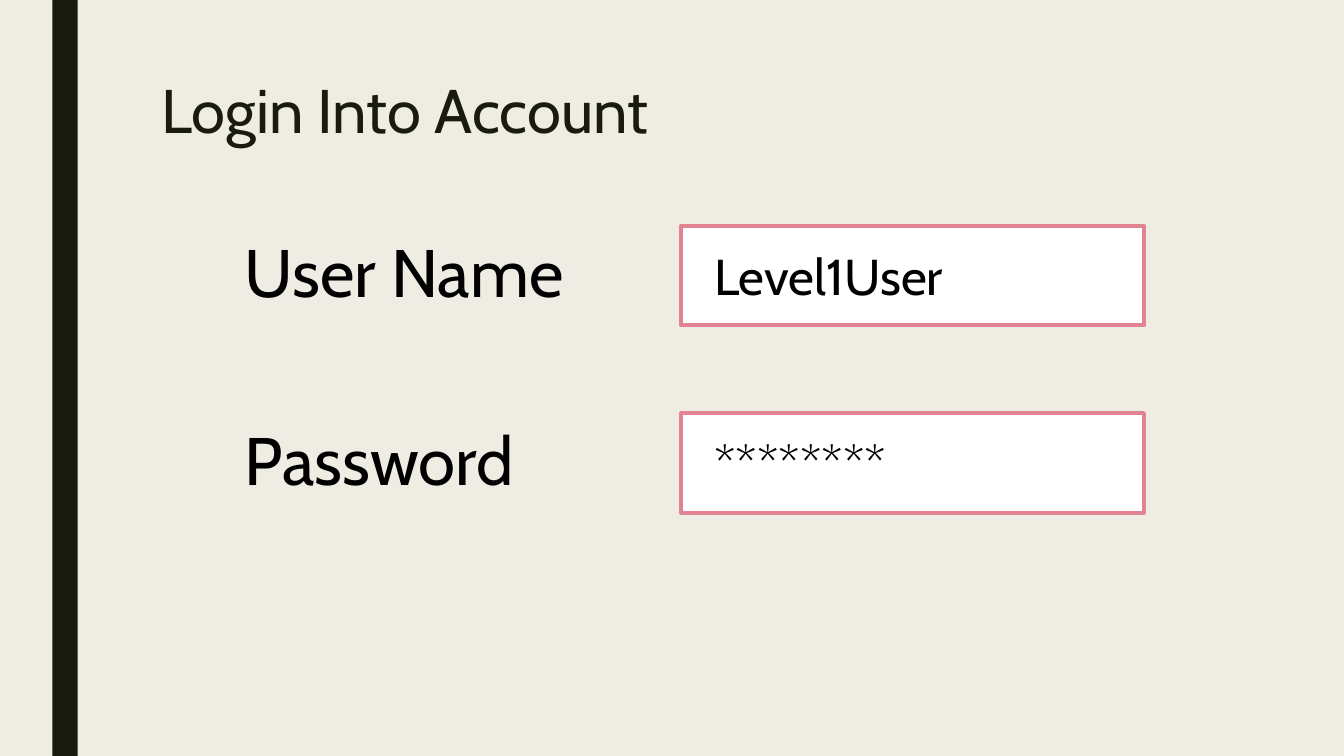
from pptx import Presentation
from pptx.dml.color import RGBColor
from pptx.enum.shapes import MSO_SHAPE
from pptx.enum.text import MSO_ANCHOR, MSO_AUTO_SIZE, PP_ALIGN
from pptx.util import Cm, Pt

RECTANGLE = MSO_SHAPE.RECTANGLE
TOP = MSO_ANCHOR.TOP
LEFT = PP_ALIGN.LEFT
GROW = MSO_AUTO_SIZE.SHAPE_TO_FIT_TEXT
FIXED = MSO_AUTO_SIZE.NONE

FONT = "Cabin"
CREAM, DARK, WHITE, PINK, BLACK = "EFEDE3", "191B0E", "FFFFFF", "E28394", "000000"
FIELDS = [("User Name", "Level1User"), ("Password", "********")]
FIRST_ROW, ROW_PITCH = 5.69, 4.72


def color(value):
    return RGBColor.from_string(value)


def write(frame, text, size, ink=BLACK, spacing=None, fit=GROW):
    frame.word_wrap = True
    frame.auto_size = fit
    frame.vertical_anchor = TOP
    paragraph = frame.paragraphs[0]
    paragraph.alignment = LEFT
    paragraph.line_spacing = spacing
    run = paragraph.add_run()
    run.text = text
    run.font.name = FONT
    run.font.size = Pt(size)
    run.font.color.rgb = color(ink)


def add_rectangle(shapes, left, top, width, height, fill, outline=None):
    rectangle = shapes.add_shape(RECTANGLE, Cm(left), Cm(top), Cm(width), Cm(height))
    rectangle.shadow.inherit = False
    rectangle.fill.solid()
    rectangle.fill.fore_color.rgb = color(fill)
    if outline:
        rectangle.line.color.rgb = color(outline)
        rectangle.line.width = Pt(2.75)
    else:
        rectangle.line.fill.background()


def add_text(shapes, left, top, width, height, text, **formatting):
    box = shapes.add_textbox(Cm(left), Cm(top), Cm(width), Cm(height))
    write(box.text_frame, text, **formatting)


def add_title(slide, text):
    title = slide.shapes.title
    title.left, title.top, title.width, title.height = Cm(3.81), Cm(1.9), Cm(26.67), Cm(4.11)
    write(title.text_frame, text, size=44, ink=DARK, spacing=0.89, fit=FIXED)


def add_field(slide, top, label, entry):
    field = slide.shapes.add_group_shape()
    add_rectangle(field.shapes, 17.17, top, 11.66, 2.51, WHITE, PINK)
    add_text(field.shapes, 5.92, top, 9.04, 2.31, label, size=48)
    add_text(slide.shapes, 17.75, top + 0.35, 10.41, 1.8, entry, size=36)


def main():
    deck = Presentation()
    deck.slide_width, deck.slide_height = Cm(33.87), Cm(19.05)
    slide = deck.slides.add_slide(deck.slide_layouts[5])
    slide.background.fill.solid()
    slide.background.fill.fore_color.rgb = color(CREAM)
    add_rectangle(slide.shapes, 1.32, 0, 0.64, 19.05, DARK)
    add_title(slide, "Login Into Account")
    for row, (label, entry) in enumerate(FIELDS):
        add_field(slide, FIRST_ROW + row * ROW_PITCH, label, entry)
    deck.save("out.pptx")


main()
